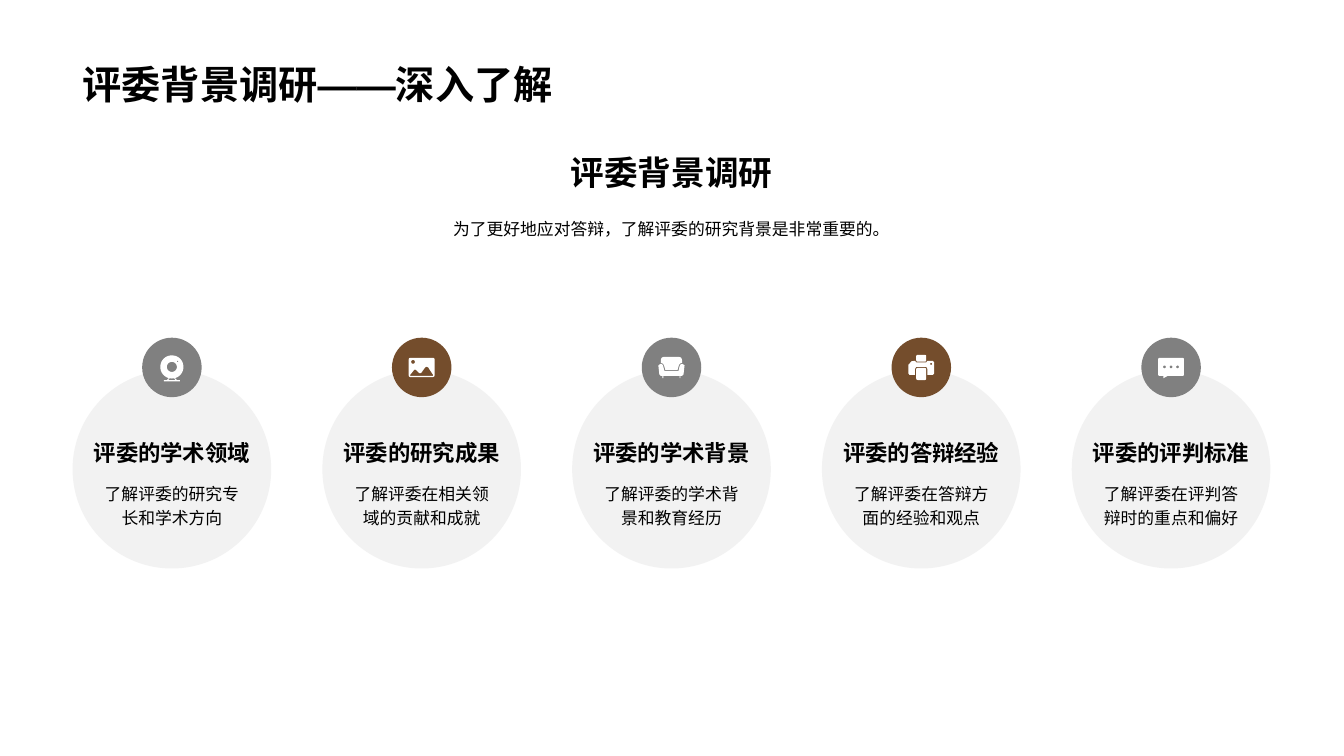
import math
from lxml import etree
from pptx import Presentation
from pptx import util as u
from pptx.dml.color import RGBColor
from pptx.enum import shapes, text
from pptx.oxml.ns import qn

PX = 9144
ICON_UNIT = PX / 10
BLACK, WHITE, GREY, BROWN, PALE = "000000", "FFFFFF", "808080", "744D2C", "BFBFBF"


def px(n):
    """Turn px into EMU."""
    return u.Emu(round(n * PX))


def color(hex_code):
    """Turn a hex string into a colour."""
    return RGBColor.from_string(hex_code)


def paint(sp, fill, alpha=None):
    """Fill a shape without outline or shadow; alpha is opacity in percent."""
    sp.shadow.inherit = False
    sp.line.fill.background()
    sp.fill.solid()
    sp.fill.fore_color.rgb = color(fill)
    if alpha is not None:
        clr = sp.fill._xPr.find(qn("a:solidFill"))[0]
        etree.SubElement(clr, qn("a:alpha"), val=str(alpha * 1000))


def write(sp, words, size=12, bold=False, align="CENTER", anchor="TOP", spacing=1.0, wrap=True):
    """Put one formatted paragraph into a shape."""
    tf = sp.text_frame
    tf.word_wrap = wrap
    tf.auto_size = text.MSO_AUTO_SIZE.NONE
    tf.vertical_anchor = text.MSO_ANCHOR[anchor]
    p = tf.paragraphs[0]
    p.alignment = text.PP_ALIGN[align]
    p.line_spacing = spacing
    r = p.add_run()
    r.text = words
    r.font.name = "Arial"
    r.font.size = u.Pt(size)
    r.font.bold = bold
    r.font.color.rgb = color(BLACK)
    etree.SubElement(r.font._element, qn("a:ea"), typeface="Arial")


def label(s, x, y, w, h, words, **fmt):
    """Add a text box."""
    write(s.shapes.add_textbox(px(x), px(y), px(w), px(h)), words, **fmt)


def disc(s, x, y, d, fill, alpha=None):
    """Add a filled circle."""
    sp = s.shapes.add_shape(shapes.MSO_SHAPE.OVAL, px(x), px(y), px(d), px(d))
    paint(sp, fill, alpha)


def arc(cx, cy, r, start=0, sweep=360, steps=36):
    """List points along an arc, angles in degrees."""
    angles = [math.radians(start + sweep * i / steps) for i in range(steps + 1)]
    return [(cx + r * math.cos(a), cy + r * math.sin(a)) for a in angles]


def rounded(x, y, w, h, r):
    """List the points of a rounded rectangle."""
    corners = [(x + w - r, y + h - r), (x + r, y + h - r), (x + r, y + r), (x + w - r, y + r)]
    return [pt for i, (cx, cy) in enumerate(corners) for pt in arc(cx, cy, r, 90 * i, 90, 6)]


def mirror(half):
    """Close a left half with its reflection."""
    return half + [(-x, y) for x, y in reversed(half)]


WEBCAM = [
    arc(0, -5, 115), arc(0, -5, 50), arc(57, -60, 7),
    mirror([(-32, 107), (-50, 125), (-80, 125), (-80, 137)])
    + mirror([(25, 110), (35, 125)]),
]
PHOTO = [
    rounded(-128, -95, 256, 190, 15), arc(-85, -55, 19),
    [(-115, 83), (-115, 75), (-75, 25), (-65, 20), (-55, 25), (-25, 55), (-15, 58),
     (-5, 55), (35, 0), (50, -8), (65, 0), (115, 75), (115, 83)],
]
SOFA = [
    mirror([(-60, 25), (-75, -25), (-85, -38), (-105, -45), (-105, -75), (-97, -97), (-75, -105)]),
    mirror([(-70, 35), (-82, -15), (-90, -30), (-110, -35), (-130, -20), (-120, 70),
            (-105, 85), (-90, 85), (-90, 105), (-80, 105), (-80, 85)]),
]
PRINTER = [
    rounded(-50, -125, 100, 68, 15), rounded(-50, 5, 100, 120, 15), arc(98, -35, 10),
    [(-62, -65), (-50, -50), (50, -50), (62, -65), (115, -65), (128, -50), (128, 60),
     (115, 75), (62, 75), (62, 15), (50, -5), (-50, -5), (-62, 15), (-62, 75),
     (-115, 75), (-128, 60), (-128, -25), (-95, -62)],
]
CHAT = [rounded(-128, -95, 256, 180, 15), [(-75, 85), (-75, 107), (-35, 85)]]
CHAT += [arc(x, -5, 14) for x in (-65, 0, 65)]

CARDS = [
    ("评委的学术领域", "了解评委的研究专长和学术方向", WEBCAM),
    ("评委的研究成果", "了解评委在相关领域的贡献和成就", PHOTO),
    ("评委的学术背景", "了解评委的学术背景和教育经历", SOFA),
    ("评委的答辩经验", "了解评委在答辩方面的经验和观点", PRINTER),
    ("评委的评判标准", "了解评委在评判答辩时的重点和偏好", CHAT),
]


def icon(s, cx, cy, contours):
    """Draw white contours around a centre, inner ones as holes."""
    fb = None
    for pts in contours:
        if fb is None:
            fb = s.shapes.build_freeform(*pts[0], scale=ICON_UNIT)
        else:
            fb.move_to(*pts[0])
        fb.add_line_segments(pts[1:], close=True)
    paint(fb.convert_to_shape(px(cx), px(cy)), WHITE)


def title(s, x, y, w, h, words):
    """Place the slide title."""
    sp = s.shapes.title
    sp.left, sp.top, sp.width, sp.height = px(x), px(y), px(w), px(h)
    write(sp, words, size=28, bold=True, align="LEFT", anchor="BOTTOM")


def intro(s, x, y, w, heading, words):
    """Place the centred heading and its sentence."""
    label(s, x, y, w, 72, heading, size=24, bold=True, anchor="BOTTOM")
    label(s, x, y + 84, w, 32, words, spacing=1.2)


def card(s, x, y, d, heading, words, contours, accent):
    """Place one topic circle with its badge and texts."""
    badge = 59
    disc(s, x, y + 32, d, PALE, alpha=20)
    label(s, x, y + 95, d, 37, heading, size=16, bold=True, anchor="BOTTOM", wrap=False)
    label(s, x + 14, y + 136, d - 28, 44, words, spacing=1.2)
    disc(s, x + (d - badge) / 2, y, badge, accent)
    icon(s, x + d / 2, y + badge / 2, contours)


def cards(s, x, y, w, d):
    """Spread the topic circles evenly over a width."""
    pitch = (w - d) / (len(CARDS) - 1)
    for i, topic in enumerate(CARDS):
        card(s, x + i * pitch, y, d, *topic, accent=(GREY, BROWN)[i % 2])


def main():
    """Build and save the slide."""
    prs = Presentation()
    prs.slide_width, prs.slide_height = px(1333), px(750)
    s = prs.slides.add_slide(prs.slide_layouts[5])
    title(s, 72, 0, 1188, 112, "评委背景调研——深入了解")
    intro(s, 72, 124, 1188, "评委背景调研", "为了更好地应对答辩，了解评委的研究背景是非常重要的。")
    cards(s, 72, 335, 1188, 197)
    prs.save("out.pptx")


if __name__ == "__main__":
    main()
